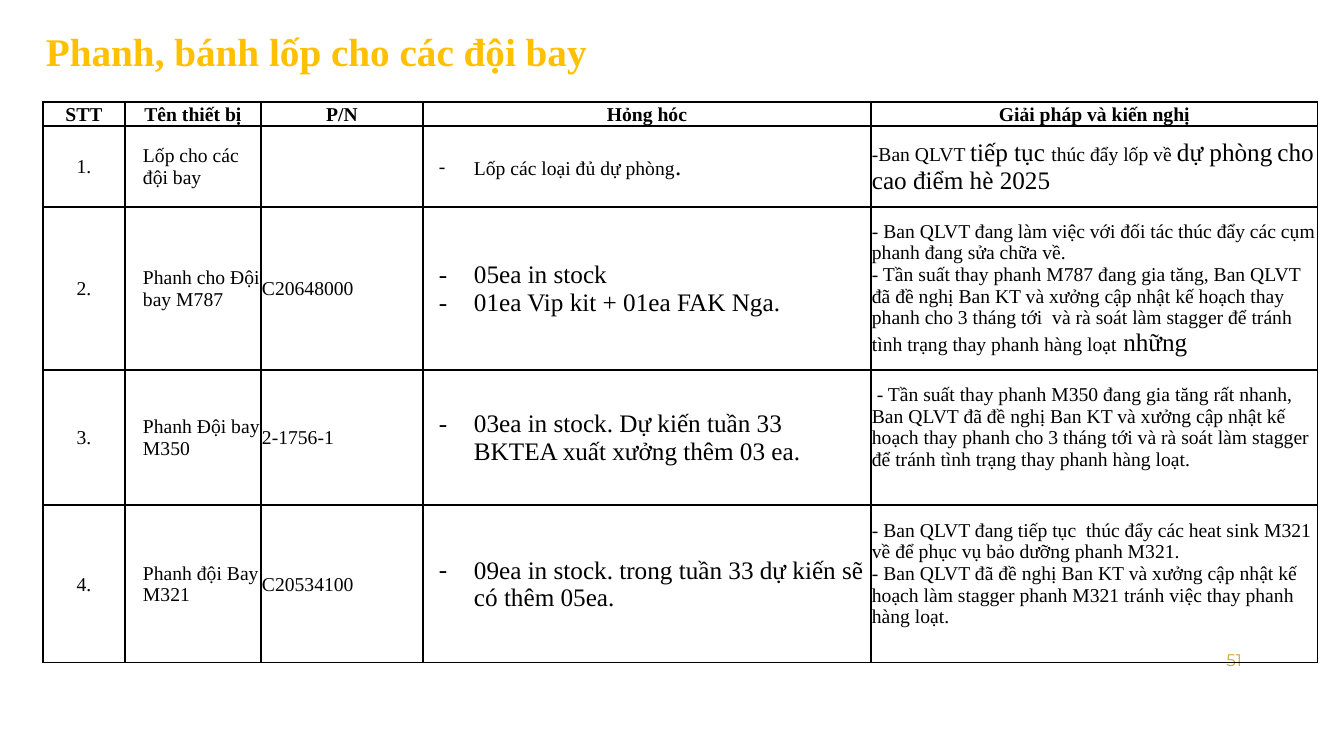
from lxml import etree
from pptx import Presentation
from pptx import util as u
from pptx.dml.color import RGBColor
from pptx.enum import text
from pptx.oxml import ns

BLACK = RGBColor(0x00, 0x00, 0x00)
AMBER = RGBColor(0xFF, 0xC0, 0x00)
GOLD = RGBColor(0xD2, 0xA4, 0x3B)
SERIF = "Times New Roman"
LEFT, CENTER, RIGHT = text.PP_ALIGN.LEFT, text.PP_ALIGN.CENTER, text.PP_ALIGN.RIGHT
PX_PER_INCH = 100.8

COLUMN_WIDTHS = [82, 136, 162, 448, 447]
ROW_HEIGHTS = [22, 24, 81, 163, 135, 158]
HEADERS = ["STT", "Tên thiết bị", "P/N", "Hỏng hóc", "Giải pháp và kiến nghị"]
COLUMN_FORMATS = [
    dict(align=CENTER),
    dict(indent=17),
    dict(),
    dict(indent=50, hanging=35, bullet="-", size=18),
    dict(),
]

# Each cell is a list of paragraphs; a paragraph is a string or a list of (text, size)
ROWS = [
    [["1."], ["Lốp cho các đội bay"], [],
     [[("Lốp các loại đủ dự phòng", 14), (".", 18)]],
     [[("-Ban QLVT ", 14), ("tiếp tục ", 18), ("thúc đẩy lốp về ", 14),
       ("dự phòng", 18), (" ", 14), ("cho cao điểm hè 2025", 18)]]],
    [["2."], ["Phanh cho Đội bay M787"], ["C20648000"],
     ["05ea in stock", "01ea Vip kit + 01ea FAK Nga."],
     ["- Ban QLVT đang làm việc với đối tác thúc đẩy các cụm phanh đang sửa chữa về.",
      [("- Tần suất thay phanh M787 đang gia tăng, Ban QLVT đã đề nghị Ban KT và xưởng "
        "cập nhật kế hoạch thay phanh cho 3 tháng tới  và rà soát làm stagger để tránh "
        "tình trạng thay phanh hàng loạt", 14), (" những", 18)]]],
    [["3."], ["Phanh Đội bay M350"], ["2-1756-1"],
     ["03ea in stock. Dự kiến tuần 33 BKTEA xuất xưởng thêm 03 ea."],
     [" - Tần suất thay phanh M350 đang gia tăng rất nhanh, Ban QLVT đã đề nghị Ban KT "
      "và xưởng cập nhật kế hoạch thay phanh cho 3 tháng tới và rà soát làm stagger để "
      "tránh tình trạng thay phanh hàng loạt."]],
    [["4."], ["Phanh đội Bay M321"], ["C20534100"],
     ["09ea in stock. trong tuần 33 dự kiến sẽ có thêm 05ea."],
     ["- Ban QLVT đang tiếp tục  thúc đẩy các heat sink M321 về để phục vụ bảo dưỡng "
      "phanh M321.",
      "- Ban QLVT đã đề nghị Ban KT và xưởng cập nhật kế hoạch làm stagger phanh M321 "
      "tránh việc thay phanh hàng loạt."]],
]
RAISED_ROWS = (4, 5)  # last-column text sits above the middle
RAISE = 21


def px(length):
    return u.Emu(round(length * 914400 / PX_PER_INCH))


def write(frame, paragraphs, size=14, font=SERIF, color=BLACK, bold=False, align=LEFT,
          indent=0, hanging=0, bullet=None, spacing=None):
    for index, content in enumerate(paragraphs):
        paragraph = frame.paragraphs[0] if index == 0 else frame.add_paragraph()
        paragraph.alignment = align
        if spacing:
            paragraph.line_spacing = spacing
        properties = paragraph._p.get_or_add_pPr()
        properties.set("marL", str(px(indent)))
        properties.set("indent", str(-px(hanging)))
        if bullet:
            etree.SubElement(properties, ns.qn("a:buFont"), typeface=font)
            etree.SubElement(properties, ns.qn("a:buChar"), char=bullet)
        runs = [(content, size)] if isinstance(content, str) else content
        for words, points in runs:
            run = paragraph.add_run()
            run.text = words
            run.font.name = font
            run.font.size = u.Pt(points)
            run.font.bold = bold
            run.font.color.rgb = color


class SlideBuilder:
    def __init__(self, presentation):
        self.slide = presentation.slides.add_slide(presentation.slide_layouts[5])

    def set_frame(self, frame):
        frame.word_wrap = True
        frame.auto_size = text.MSO_AUTO_SIZE.NONE
        frame.vertical_anchor = text.MSO_ANCHOR.MIDDLE
        frame.margin_left = frame.margin_right = px(10)
        frame.margin_top = frame.margin_bottom = px(5)

    def title(self, words, left, top, width, height, **style):
        shape = self.slide.shapes.title
        shape.left, shape.top, shape.width, shape.height = map(px, (left, top, width, height))
        self.set_frame(shape.text_frame)
        write(shape.text_frame, [words], **style)

    def text_box(self, words, left, top, width, height, **style):
        shape = self.slide.shapes.add_textbox(*map(px, (left, top, width, height)))
        self.set_frame(shape.text_frame)
        write(shape.text_frame, [words], **style)

    def borders(self, cell, visible):
        properties = cell._tc.get_or_add_tcPr()
        for side in "LRTB":
            line = etree.SubElement(properties, ns.qn(f"a:ln{side}"), w=str(u.Pt(1)))
            if side in visible:
                fill = etree.SubElement(line, ns.qn("a:solidFill"))
                etree.SubElement(fill, ns.qn("a:srgbClr"), val=str(BLACK))
            else:
                etree.SubElement(line, ns.qn("a:noFill"))

    def table(self, left, top, widths, heights):
        table = self.slide.shapes.add_table(
            len(heights), len(widths),
            *map(px, (left, top, sum(widths), sum(heights)))).table
        table.first_row = table.horz_banding = False
        for column, width in zip(table.columns, widths):
            column.width = px(width)
        for index, (row, height) in enumerate(zip(table.rows, heights)):
            row.height = px(height)
            for cell in row.cells:
                self.borders(cell, "LRTB" if index else "B")
                cell.fill.background()
                cell.vertical_anchor = text.MSO_ANCHOR.MIDDLE
                cell.margin_left = cell.margin_right = cell.margin_top = px(1)
                cell.margin_bottom = 0
        return table


def main():
    presentation = Presentation()
    presentation.slide_width, presentation.slide_height = px(1344), px(756)
    builder = SlideBuilder(presentation)

    # Title and page number
    builder.title("Phanh, bánh lốp cho các đội bay", 30, 14, 1175, 79,
                  size=28, color=AMBER, bold=True, indent=6, spacing=0.9)
    builder.text_box("51", 950, 640, 302, 40, size=12, font="Montserrat",
                     color=GOLD, align=RIGHT)

    # Table with an open merged row on top
    table = builder.table(43, 80, COLUMN_WIDTHS, ROW_HEIGHTS)
    open_cell = table.cell(0, 0)
    open_cell.merge(table.cell(0, len(COLUMN_WIDTHS) - 1))
    for cell in table.rows[0].cells:
        ending = cell.text_frame.paragraphs[0]._p.get_or_add_endParaRPr()
        ending.set("sz", "1000")

    # Header and body cells
    for column, header in enumerate(HEADERS):
        write(table.cell(1, column).text_frame, [header], bold=True, align=CENTER)
    for row, contents in enumerate(ROWS, start=2):
        for column, paragraphs in enumerate(contents):
            write(table.cell(row, column).text_frame, paragraphs, **COLUMN_FORMATS[column])
    for row in RAISED_ROWS:
        table.cell(row, len(COLUMN_WIDTHS) - 1).margin_bottom = px(RAISE)

    presentation.save("out.pptx")


if __name__ == "__main__":
    main()
